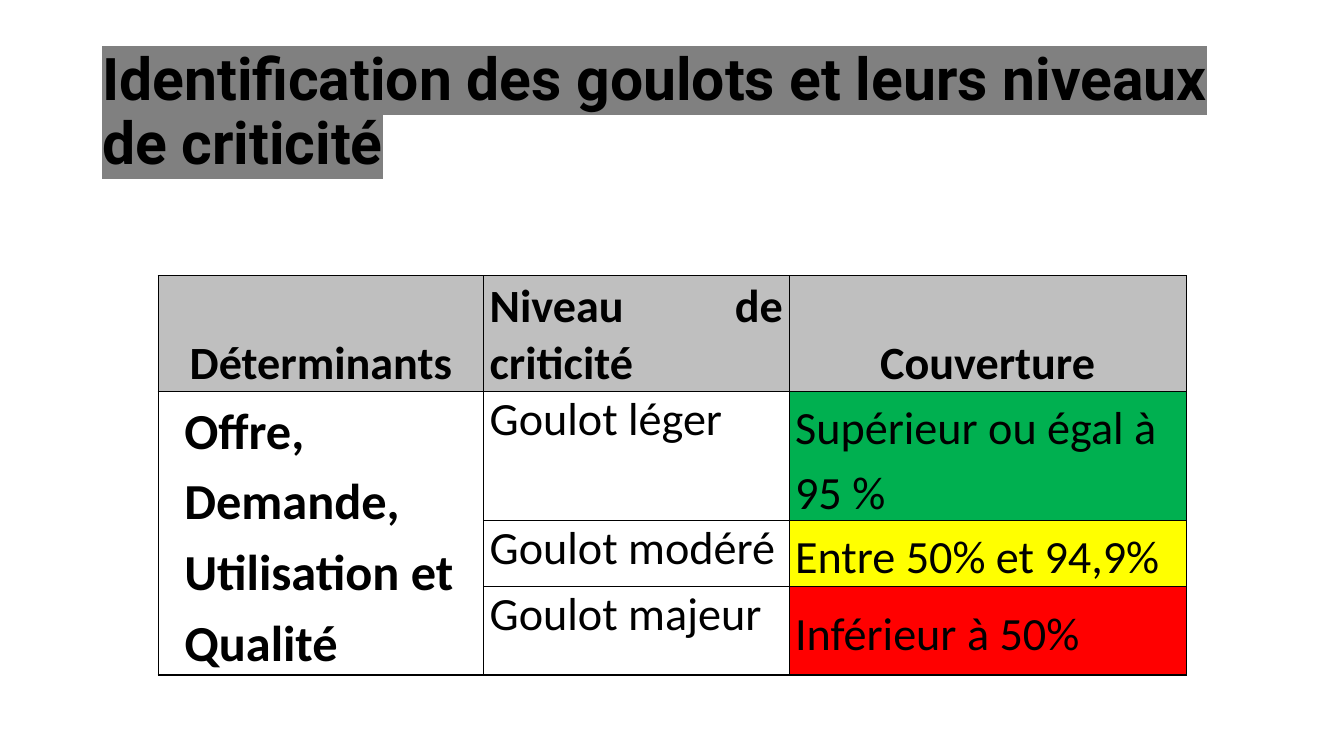
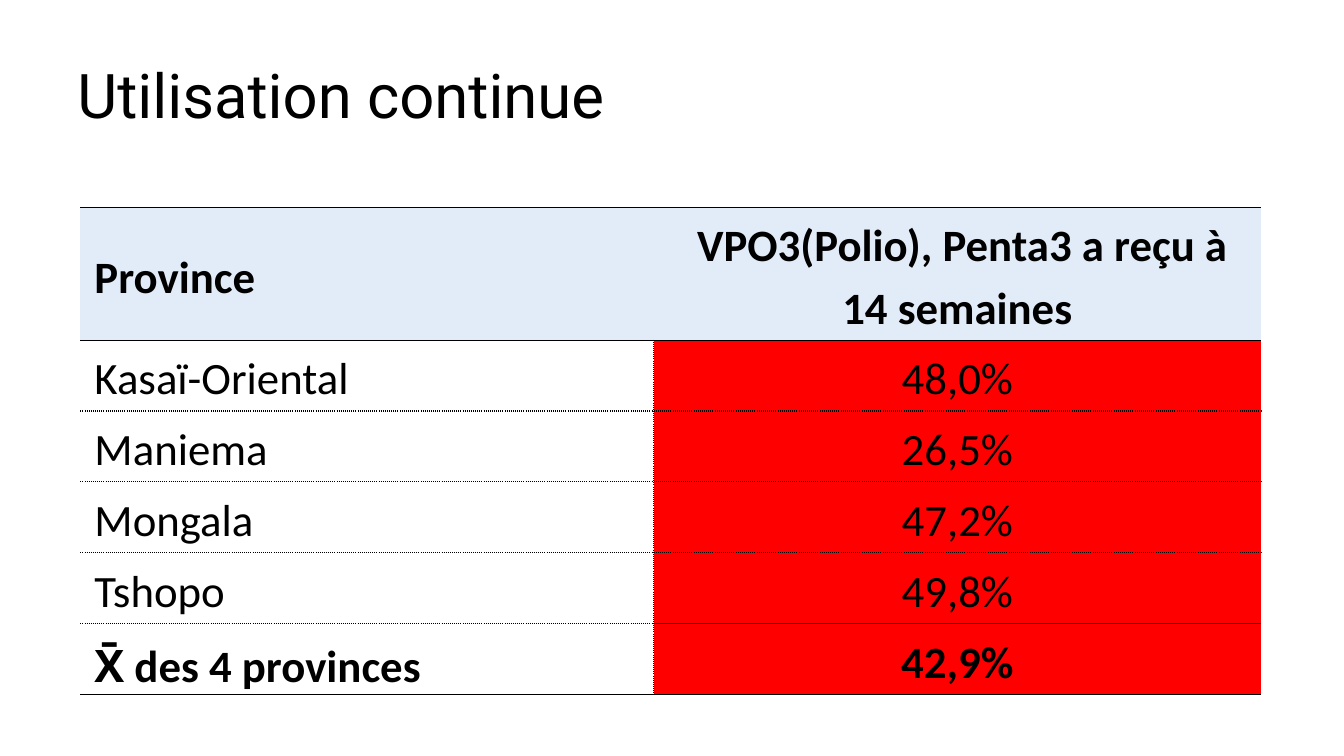
"""Build two slides on bottleneck levels and continued use by province."""
from dataclasses import dataclass, field

from lxml.etree import SubElement
from pptx import Presentation
from pptx.dml.color import RGBColor
from pptx.enum.text import MSO_ANCHOR, PP_ALIGN
from pptx.oxml import parse_xml
from pptx.oxml.ns import nsdecls, qn
from pptx.presentation import Presentation as PresentationType
from pptx.slide import Slide
from pptx.table import Table, _Cell
from pptx.text.text import TextFrame
from pptx.util import Pt


@dataclass(frozen=True)
class Theme:
    black: str = "000000"
    highlight: str = "808080"
    gray: str = "BFBFBF"
    pale_blue: str = "E2ECF8"
    green: str = "00B050"
    yellow: str = "FFFF00"
    red: str = "FF0000"
    title_font: str = "Roboto"
    body_font: str = "Calibri"
    marked_title_size: float = 42
    title_size: float = 44
    level_size: float = 33
    determinant_size: float = 36
    province_size: float = 32
    border_width: float = 1


THEME = Theme()
SOLID, DOTTED = "solid", "sysDot"
BOX_BORDERS = dict.fromkeys("LRTB", SOLID)


@dataclass
class CellContent:
    text: str
    size: float
    margin: float
    bold: bool = False
    fill: str | None = None
    align: PP_ALIGN = PP_ALIGN.LEFT
    anchor: MSO_ANCHOR = MSO_ANCHOR.MIDDLE
    line_spacing: float = 1.0
    space_after: float = 0
    indent: float = 0
    borders: dict[str, str] = field(default_factory=dict)


def write_text(frame: TextFrame, text: str, *, size: float, font: str = THEME.body_font,
               bold: bool = False, align: PP_ALIGN = PP_ALIGN.LEFT, line_spacing: float = 1.0,
               space_after: float = 0, indent: float = 0, highlight: str | None = None) -> None:
    """Write one formatted paragraph into a text frame."""
    frame.word_wrap = True
    paragraph = frame.paragraphs[0]
    paragraph.alignment = align
    paragraph.line_spacing = line_spacing
    paragraph.space_after = Pt(space_after)
    if indent:
        properties = paragraph._p.get_or_add_pPr()
        properties.set("marL", str(Pt(indent)))
        properties.set("indent", "0")
    run = paragraph.add_run()
    run.text = text
    run.font.size = Pt(size)
    run.font.name = font
    run.font.bold = bold
    run.font.color.rgb = RGBColor.from_string(THEME.black)
    if highlight:
        mark = parse_xml(f'<a:highlight {nsdecls("a")}><a:srgbClr val="{highlight}"/></a:highlight>')
        run._r.get_or_add_rPr().find(qn("a:solidFill")).addnext(mark)


def add_title(slide: Slide, text: str, left: float, top: float, width: float, height: float, *,
              size: float, anchor: MSO_ANCHOR = MSO_ANCHOR.TOP, bold: bool = False,
              highlight: str | None = None) -> None:
    """Add a title in the shared title style."""
    frame = slide.shapes.add_textbox(Pt(left), Pt(top), Pt(width), Pt(height)).text_frame
    frame.vertical_anchor = anchor
    write_text(frame, text, size=size, font=THEME.title_font, bold=bold,
               line_spacing=0.9, highlight=highlight)


def set_borders(cell: _Cell, borders: dict[str, str]) -> None:
    """Draw the named sides of a cell and hide the others."""
    properties = cell._tc.get_or_add_tcPr()
    for side in "LRTB":
        line = SubElement(properties, qn(f"a:ln{side}"), w=str(Pt(THEME.border_width)))
        if side in borders:
            solid_fill = SubElement(line, qn("a:solidFill"))
            SubElement(solid_fill, qn("a:srgbClr"), val=THEME.black)
            SubElement(line, qn("a:prstDash"), val=borders[side])
        else:
            SubElement(line, qn("a:noFill"))


def fill_cell(cell: _Cell, content: CellContent) -> None:
    """Apply borders, fill and text to a cell."""
    set_borders(cell, content.borders)
    if content.fill:
        cell.fill.solid()
        cell.fill.fore_color.rgb = RGBColor.from_string(content.fill)
    else:
        cell.fill.background()
    cell.margin_left = cell.margin_right = Pt(content.margin)
    cell.margin_top = cell.margin_bottom = Pt(0)
    cell.vertical_anchor = content.anchor
    if content.text:
        write_text(cell.text_frame, content.text, size=content.size, bold=content.bold,
                   align=content.align, line_spacing=content.line_spacing,
                   space_after=content.space_after, indent=content.indent)


def add_table(slide: Slide, left: float, top: float, widths: list[float], heights: list[float],
              rows: list[list[CellContent]]) -> Table:
    """Add a table from column widths, row heights and cell contents."""
    frame = slide.shapes.add_table(len(heights), len(widths), Pt(left), Pt(top),
                                   Pt(sum(widths)), Pt(sum(heights)))
    table = frame.table
    table.first_row = table.horz_banding = False
    for column, width in zip(table.columns, widths):
        column.width = Pt(width)
    for row, height, contents in zip(table.rows, heights, rows):
        row.height = Pt(height)
        for cell, content in zip(row.cells, contents):
            fill_cell(cell, content)
    return table


def level_cell(text: str, **options) -> CellContent:
    """Describe a cell of the bottleneck table."""
    return CellContent(text, **{"size": THEME.level_size, "margin": 4.3,
                                "borders": BOX_BORDERS, **options})


def build_levels_slide(presentation: PresentationType) -> None:
    """Build the slide on bottleneck levels."""
    slide = presentation.slides.add_slide(presentation.slide_layouts[6])
    add_title(slide, "Identification des goulots et leurs niveaux de criticité", 66, 28.8, 828, 104.4,
              size=THEME.marked_title_size, anchor=MSO_ANCHOR.MIDDLE, bold=True,
              highlight=THEME.highlight)
    headers = [("Déterminants", PP_ALIGN.CENTER), ("Niveau de criticité", PP_ALIGN.JUSTIFY),
               ("Couverture", PP_ALIGN.CENTER)]
    rows = [[level_cell(text, bold=True, fill=THEME.gray, align=align, anchor=MSO_ANCHOR.BOTTOM)
             for text, align in headers]]
    levels = [("Goulot léger", "Supérieur ou égal à 95 %", THEME.green),
              ("Goulot modéré", "Entre 50% et 94,9%", THEME.yellow),
              ("Goulot majeur", "Inférieur à 50%", THEME.red)]
    spacing = {"line_spacing": 1.15, "space_after": 10}
    for index, (level, coverage, color) in enumerate(levels):
        determinant = "Offre, Demande, Utilisation et Qualité" if index == 0 else ""
        rows.append([level_cell(determinant, size=THEME.determinant_size, bold=True,
                                indent=14.4, **spacing),
                     level_cell(level, anchor=MSO_ANCHOR.TOP),
                     level_cell(coverage, fill=color, **spacing)])
    table = add_table(slide, 113, 197, [232.5, 218.2, 283.7], [82.8, 92.2, 46.8, 63.4], rows)
    table.cell(1, 0).merge(table.cell(3, 0))


def province_cell(text: str, **options) -> CellContent:
    """Describe a cell of the province table."""
    return CellContent(text, size=THEME.province_size, margin=10.1, line_spacing=1.15,
                       space_after=8, **options)


def build_provinces_slide(presentation: PresentationType) -> None:
    """Build the slide on continued use by province."""
    slide = presentation.slides.add_slide(presentation.slide_layouts[6])
    add_title(slide, "Utilisation continue", 48.2, 43.2, 861.8, 89.3, size=THEME.title_size)
    header = {"bold": True, "fill": THEME.pale_blue, "borders": {"T": SOLID, "B": SOLID}}
    rows = [[province_cell("Province", **header),
             province_cell(" VPO3(Polio), Penta3 a reçu à 14 semaines",
                           align=PP_ALIGN.CENTER, **header)]]
    provinces = [("Kasaï-Oriental", "48,0%"), ("Maniema", "26,5%"), ("Mongala", "47,2%"),
                 ("Tshopo", "49,8%"), ("X̄ des 4 provinces", "42,9%")]
    last = len(provinces) - 1
    for index, (province, rate) in enumerate(provinces):
        is_mean = index == last
        name_borders = {"R": DOTTED, "T": DOTTED if index else SOLID,
                        "B": SOLID if is_mean else DOTTED}
        rate_borders = {"L": DOTTED, "T": SOLID if index in (0, last) else DOTTED,
                        "B": SOLID if index >= last - 1 else DOTTED}
        rows.append([province_cell(province, bold=is_mean, borders=name_borders,
                                   anchor=MSO_ANCHOR.BOTTOM if is_mean else MSO_ANCHOR.MIDDLE),
                     province_cell(rate, bold=is_mean, fill=THEME.red, borders=rate_borders,
                                   align=PP_ALIGN.CENTER)])
    add_table(slide, 57.4, 148, [409.5, 434], [95] + [50.6] * len(provinces), rows)


def main() -> None:
    """Build and save the presentation."""
    presentation = Presentation()
    presentation.slide_width, presentation.slide_height = Pt(960), Pt(540)
    build_levels_slide(presentation)
    build_provinces_slide(presentation)
    presentation.save("out.pptx")


if __name__ == "__main__":
    main()
